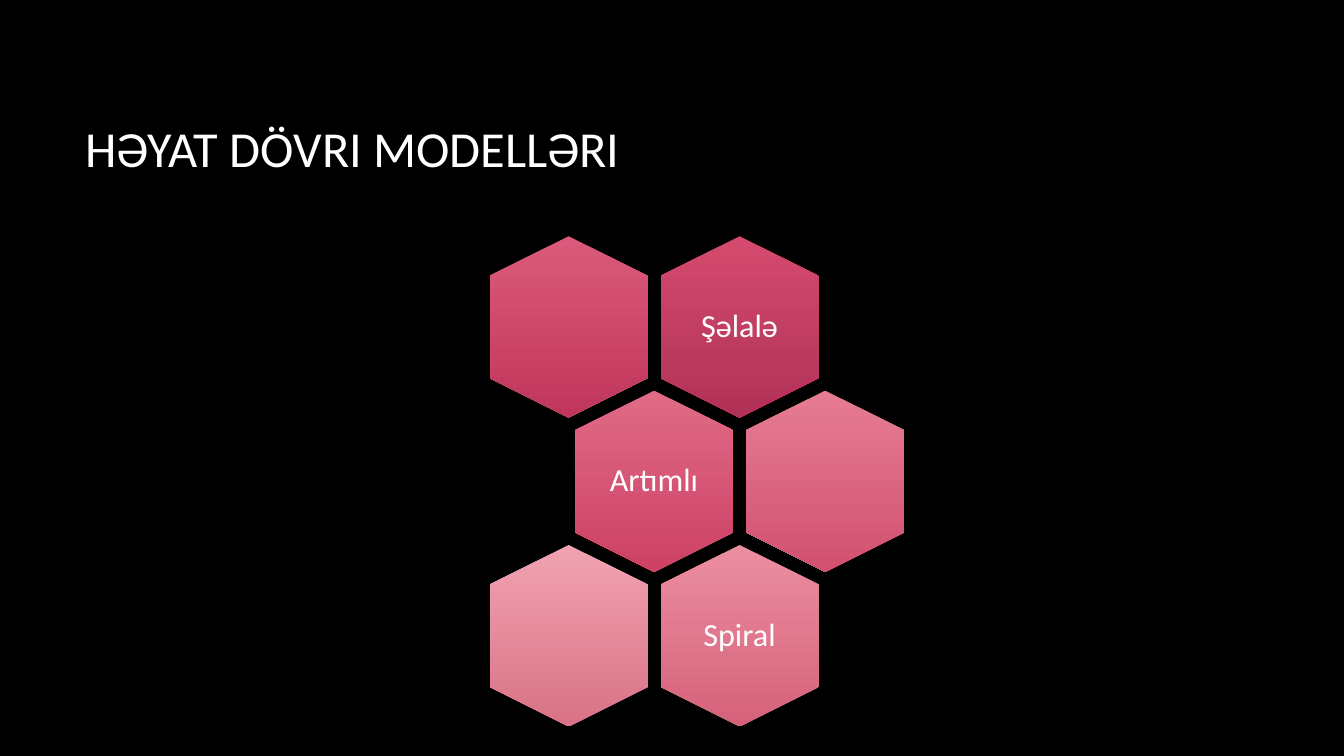
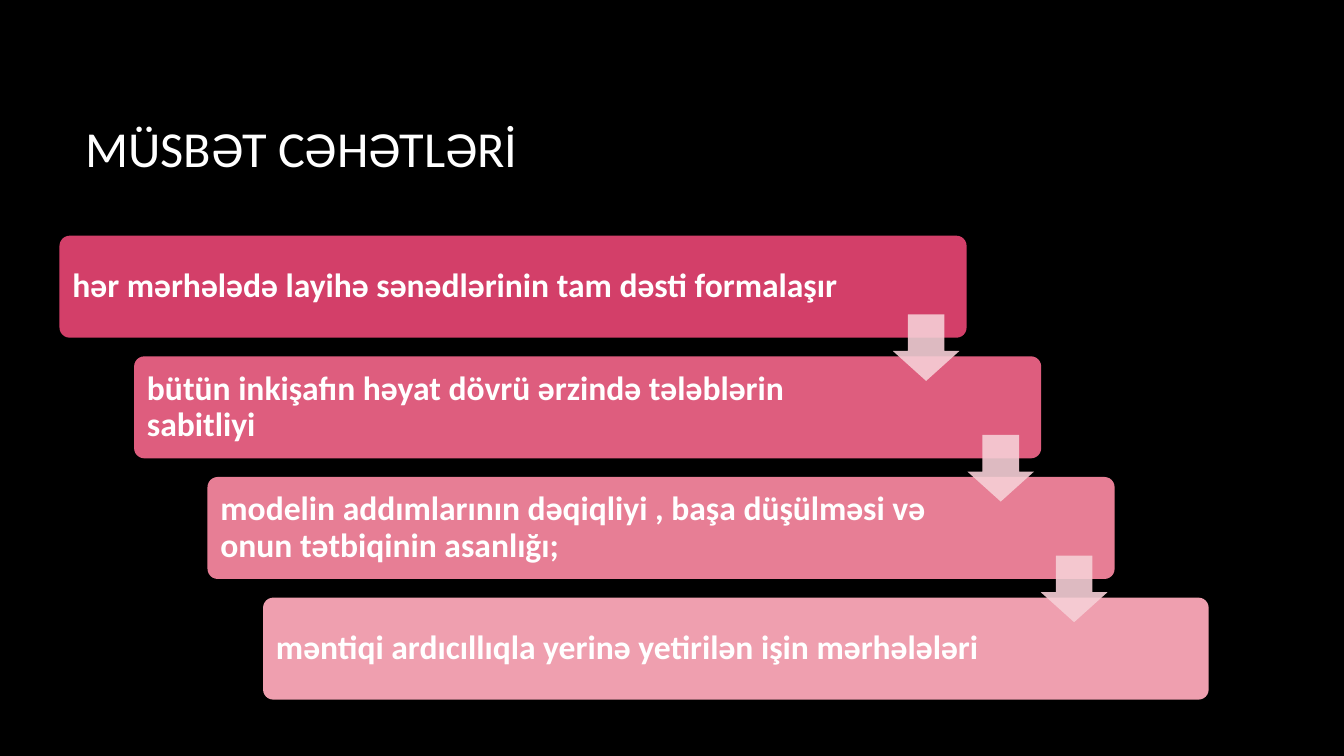
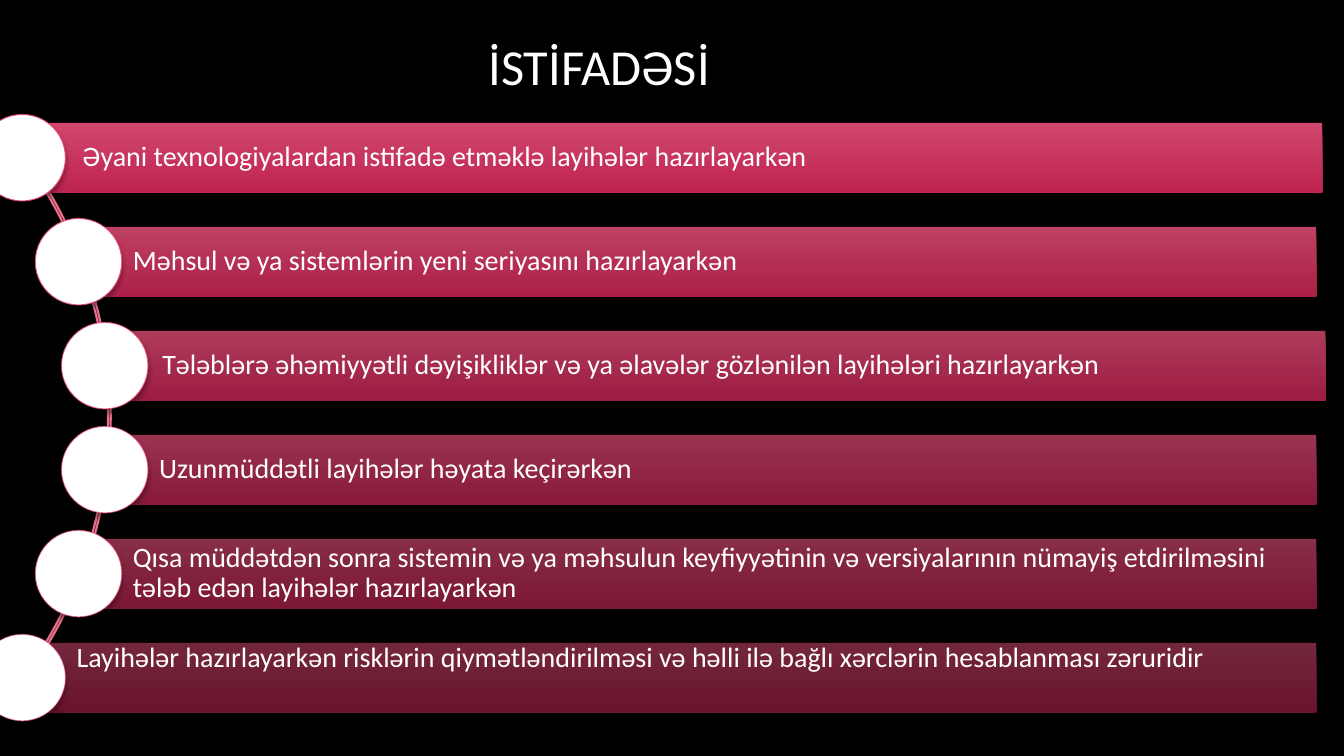
"""Build three dark slides on software life cycle models."""
from lxml.etree import SubElement
from pptx import Presentation
from pptx.dml.color import RGBColor
from pptx.enum.shapes import MSO_SHAPE as Preset
from pptx.enum.text import MSO_ANCHOR as Anchor, MSO_AUTO_SIZE as AutoSize, PP_ALIGN as Align
from pptx.oxml.ns import qn
from pptx.util import Cm, Pt

FONT = "Calibri"
COLORS = {
    "background": "000000",
    "white": "FFFFFF",
    "arrow": "F6CFD6",
    "arc": "EA6E8B",
    "ring": "E84574",
    "bar_top": "E84F79",
    "bar_bottom": "D32859",
}
TITLE_BOX = (1.9, 1.7, 28.14, 4.04)

MODELS_TITLE = "HƏYAT DÖVRI MODELLƏRI"
HEXAGON_ROWS = [
    [("", "DA5A7B", "C2365C"), ("Şəlalə", "D44A6F", "B13257")],
    [("Artımlı", "E06A87", "CC4164"), ("", "E67C94", "D1516F")],
    [("", "F0A2B1", "D97387"), ("Spiral", "EB8EA2", "D5627A")],
]

BENEFITS_TITLE = "MÜSBƏT CƏHƏTLƏRİ"
STEPS = [
    ("hər mərhələdə layihə sənədlərinin tam dəsti formalaşır", "D33F69", 1.5, 22.86, 3.1),
    ("bütün inkişafın həyat dövrü ərzində tələblərin sabitliyi", "DE5D7E", 3.38, 22.86, 3.85),
    ("modelin addımlarının dəqiqliyi , başa düşülməsi və onun tətbiqinin asanlığı;",
     "E77E95", 5.23, 22.86, 3.85),
    ("məntiqi ardıcıllıqla yerinə yetirilən işin mərhələləri", "EF9FAF", 6.63, 23.83, 4),
]

USES_TITLE = "İSTİFADƏSİ"
USES_TITLE_BOX = (12.06, 0.38, 17.98, 2.51)
USES = [
    ("Əyani texnologiyalardan istifadə etməklə layihələr hazırlayarkən", 0.71, 32.61, -0.53),
    ("Məhsul və ya sistemlərin yeni seriyasını hazırlayarkən", 1.98, 31.19, 0.89),
    ("Tələblərə əhəmiyyətli dəyişikliklər və ya əlavələr gözlənilən layihələri hazırlayarkən",
     2.72, 30.68, 1.55),
    ("Uzunmüddətli layihələr həyata keçirərkən", 2.64, 30.53, 1.55),
    ("Qısa müddətdən sonra sistemin və ya məhsulun keyfiyyətinin və versiyalarının nümayiş "
     "etdirilməsini tələb edən layihələr hazırlayarkən", 1.98, 31.19, 0.89),
    ("Layihələr hazırlayarkən risklərin qiymətləndirilməsi və həlli ilə bağlı xərclərin "
     "hesablanması zəruridir", 0.56, 32.61, -0.53),
]


def color(name):
    return RGBColor.from_string(COLORS.get(name, name))


def write(shape, text, size, bold=False, align=Align.LEFT, spacing=0.9, margins=None):
    frame = shape.text_frame
    frame.word_wrap = True
    frame.auto_size = AutoSize.NONE
    frame.vertical_anchor = Anchor.MIDDLE
    left, top, right, bottom = margins or (0.25, 0.25, 0.25, 0.25)
    frame.margin_left, frame.margin_top = Cm(left), Cm(top)
    frame.margin_right, frame.margin_bottom = Cm(right), Cm(bottom)
    paragraph = frame.paragraphs[0]
    paragraph.alignment = align
    paragraph.line_spacing = spacing
    run = paragraph.add_run()
    run.text = text
    run.font.name = FONT
    run.font.size = Pt(size)
    run.font.bold = bold
    run.font.color.rgb = color("white")


def add_titled_slide(presentation, title, box=TITLE_BOX):
    slide = presentation.slides.add_slide(presentation.slide_layouts[5])
    shape = slide.shapes.title
    shape.left, shape.top, shape.width, shape.height = map(Cm, box)
    write(shape, title, 36, spacing=1)
    return slide


def add_shape(slide, preset, box, fill=None):
    shape = slide.shapes.add_shape(preset, *map(Cm, box))
    shape.shadow.inherit = False
    shape.line.fill.background()
    if fill:
        shape.fill.solid()
        shape.fill.fore_color.rgb = color(fill)
    else:
        shape.fill.background()
    return shape


def set_gradient(shape, top, bottom):
    shape.fill.gradient()
    shape.fill.gradient_angle = 270
    for stop, name in zip(shape.fill.gradient_stops, (top, bottom)):
        stop.color.rgb = color(name)
    shape._element.spPr.find(qn("a:gradFill")).set("rotWithShape", "0")


def set_line(shape, name, width):
    shape.line.color.rgb = color(name)
    shape.line.width = Pt(width)


def set_opacity(element, percent):
    for node in element.iter(qn("a:srgbClr")):
        SubElement(node, qn("a:alpha"), val=str(percent * 1000))


def add_shadow(shape):
    effects = shape._element.spPr.find(qn("a:effectLst"))
    shadow = SubElement(effects, qn("a:outerShdw"), blurRad=str(Pt(4)), dist=str(Pt(3)),
                        dir="5400000", rotWithShape="0")
    set_opacity_node = SubElement(shadow, qn("a:srgbClr"), val=COLORS["background"])
    SubElement(set_opacity_node, qn("a:alpha"), val="35000")


def build_models(presentation):
    slide = add_titled_slide(presentation, MODELS_TITLE)
    length, breadth = 4.57, 3.99
    label_width, label_height = 2.74, 3.15
    column_pitch, row_pitch = 4.31, 3.89
    for row, cells in enumerate(HEXAGON_ROWS):
        center_y = 8.24 + row * row_pitch
        for column, (label, top, bottom) in enumerate(cells):
            center_x = 14.33 + (column + row % 2 / 2) * column_pitch
            hexagon = add_shape(slide, Preset.HEXAGON, (
                center_x - length / 2, center_y - breadth / 2, length, breadth))
            hexagon.rotation = 90
            set_gradient(hexagon, top, bottom)
            if label:
                box = (center_x - label_width / 2, center_y - label_height / 2,
                       label_width, label_height)
                write(slide.shapes.add_textbox(*map(Cm, box)), label, 23, align=Align.CENTER)


def build_benefits(presentation):
    slide = add_titled_slide(presentation, BENEFITS_TITLE)
    first_top, pitch, height, arrow_size = 5.94, 3.04, 2.57, 1.68
    for index, (text, fill, left, width, right_margin) in enumerate(STEPS):
        step = add_shape(slide, Preset.ROUNDED_RECTANGLE,
                         (left, first_top + index * pitch, width, height), fill)
        step.adjustments[0] = 0.1
        write(step, text, 24, bold=True, margins=(0.25, 0.25, right_margin, 0.25))
    for index, (_, _, left, _, _) in enumerate(STEPS[:-1]):
        arrow = add_shape(slide, Preset.DOWN_ARROW, (
            left + 21, first_top + index * pitch + 1.98, arrow_size, arrow_size), "arrow")
        arrow.adjustments[0], arrow.adjustments[1] = 0.55, 0.45
        set_opacity(arrow._element.spPr, 90)


def build_uses(presentation):
    slide = add_titled_slide(presentation, USES_TITLE, USES_TITLE_BOX)
    arc = add_shape(slide, Preset.BLOCK_ARC, (-19.51, -0.64, 22.3, 22.3))
    for index, value in enumerate((189, 27, 0.003)):
        arc.adjustments[index] = value
    set_line(arc, "arc", 1.5)
    height, diameter = 1.75, 2.18
    for index, (text, left, width, circle_left) in enumerate(USES):
        top = 3.1 + index * 2.62
        opacity = 90 - 8 * index
        is_last = index == len(USES) - 1
        bar = add_shape(slide, Preset.RECTANGLE, (left, top, width, height))
        set_gradient(bar, "bar_top", "bar_bottom")
        set_opacity(bar._element.spPr, opacity)
        write(bar, text, 20, margins=(1.37, 0 if is_last else 0.15, 0.15, 0.15))
        if is_last:
            bar.text_frame.vertical_anchor = Anchor.TOP
        circle = add_shape(slide, Preset.OVAL, (
            circle_left, top + (height - diameter) / 2, diameter, diameter), "white")
        set_line(circle, "ring", 0.75)
        set_opacity(circle._element.spPr.find(qn("a:ln")), opacity)
        add_shadow(circle)


def main():
    presentation = Presentation()
    presentation.slide_width, presentation.slide_height = Cm(33.87), Cm(19.05)
    background = presentation.slide_master.background.fill
    background.solid()
    background.fore_color.rgb = color("background")
    build_models(presentation)
    build_benefits(presentation)
    build_uses(presentation)
    presentation.save("out.pptx")


if __name__ == "__main__":
    main()
